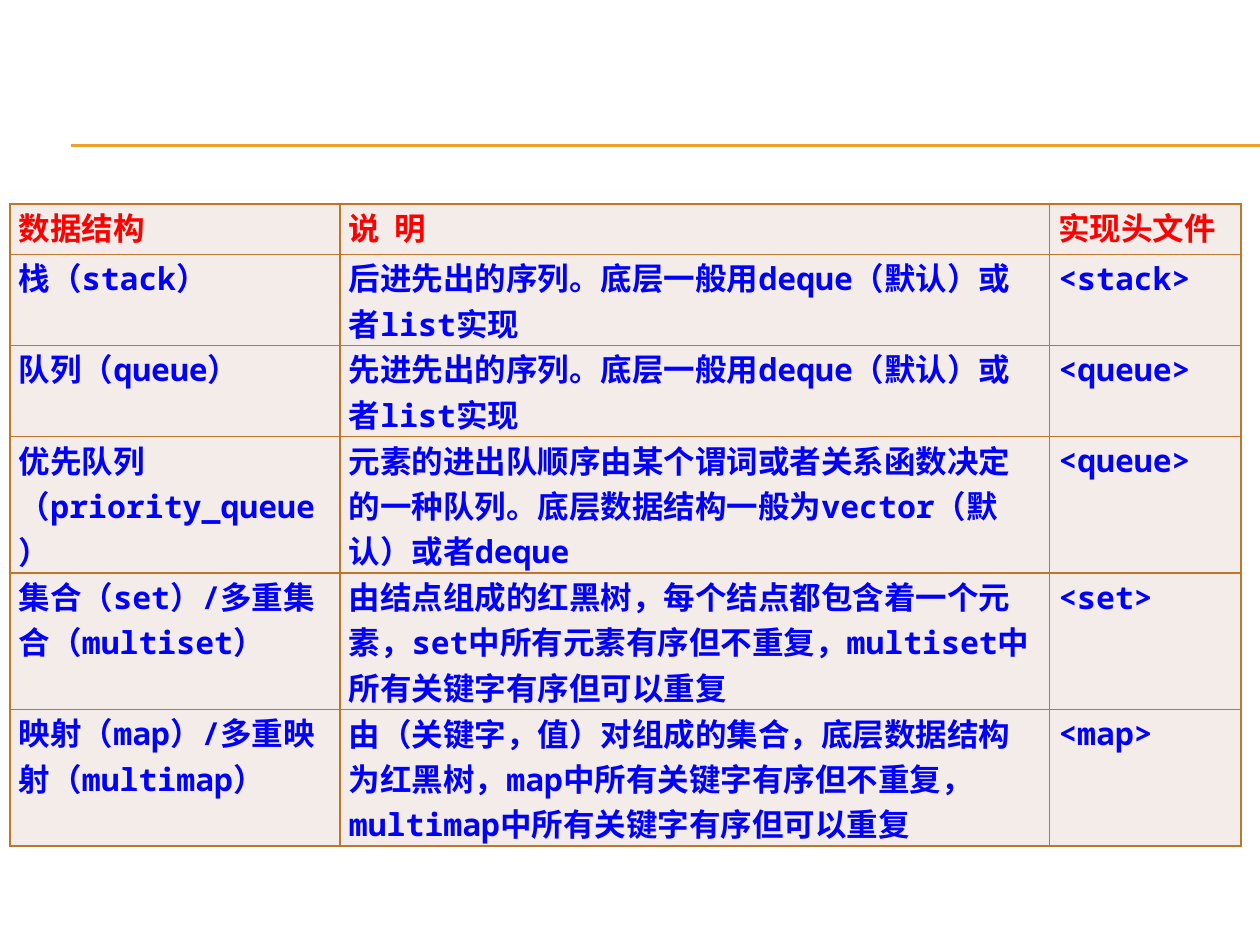
from lxml.etree import SubElement
from pptx import Presentation
from pptx.dml.color import RGBColor
from pptx.enum.shapes import MSO_CONNECTOR as Connector
from pptx.enum.text import PP_ALIGN as Align
from pptx.oxml.ns import qn
from pptx.util import Inches, Pt

COLORS = {
    "rule": "F0A22E",
    "border": "C17529",
    "cell": "F4ECE8",
    "header": "FF0000",
    "body": "0000FF",
}
LINE_SPACING = 26
COLUMN_WIDTHS = [2.62, 5.63, 1.52]
HEADER = ["数据结构", "说  明", "实现头文件"]
HEADER_HEIGHT = 0.4

# Each entry: lines of text in the row, then its three cells
STRUCTURES = [
    (2, "栈（stack）", "后进先出的序列。底层一般用deque（默认）或者list实现", "<stack>"),
    (2, "队列（queue）", "先进先出的序列。底层一般用deque（默认）或者list实现", "<queue>"),
    (3, "优先队列（priority_queue）",
     "元素的进出队顺序由某个谓词或者关系函数决定的一种队列。底层数据结构一般为vector（默认）或者deque",
     "<queue>"),
    (3, "集合（set）/多重集合（multiset）",
     "由结点组成的红黑树，每个结点都包含着一个元素，set中所有元素有序但不重复，multiset中所有关键字有序但可以重复",
     "<set>"),
    (3, "映射（map）/多重映射（multimap）",
     "由（关键字，值）对组成的集合，底层数据结构为红黑树，map中所有关键字有序但不重复，multimap中所有关键字有序但可以重复",
     "<map>"),
]


def rgb(name):
    return RGBColor.from_string(COLORS[name])


def add_rule(slide, top, left, right):
    rule = slide.shapes.add_connector(
        Connector.STRAIGHT, Inches(left), Inches(top), Inches(right), Inches(top))
    rule.line.color.rgb = rgb("rule")
    rule.line.width = Pt(0.75)
    SubElement(rule._element.spPr, qn("a:effectLst"))


def write_text(frame, text, *, font, color, align, size=18, bold=True):
    paragraph = frame.paragraphs[0]
    paragraph.alignment = align
    paragraph.line_spacing = Pt(LINE_SPACING)
    run = paragraph.add_run()
    run.text = text
    run.font.name = font
    run.font.size = Pt(size)
    run.font.bold = bold
    run.font.color.rgb = rgb(color)


def style_cell(cell):
    cell.margin_left = cell.margin_right = Inches(0.07)
    cell.margin_top = cell.margin_bottom = 0
    properties = cell._tc.get_or_add_tcPr()
    # Borders come before the fill in the cell properties
    for side in ("a:lnL", "a:lnR", "a:lnT", "a:lnB"):
        border = SubElement(properties, qn(side), w=str(Pt(1)))
        fill = SubElement(border, qn("a:solidFill"))
        SubElement(fill, qn("a:srgbClr"), val=COLORS["border"])
    cell.fill.solid()
    cell.fill.fore_color.rgb = rgb("cell")


def add_structure_table(slide, left, top):
    heights = [Inches(HEADER_HEIGHT)]
    heights += [Pt(LINE_SPACING * lines) for lines, *_ in STRUCTURES]
    rows = [HEADER] + [cells for _, *cells in STRUCTURES]
    table = slide.shapes.add_table(
        len(rows), len(HEADER), Inches(left), Inches(top),
        Inches(sum(COLUMN_WIDTHS)), sum(heights)).table
    for column, width in zip(table.columns, COLUMN_WIDTHS):
        column.width = Inches(width)
    for row, height in zip(table.rows, heights):
        row.height = height

    for r, texts in enumerate(rows):
        is_header = r == 0
        for c, text in enumerate(texts):
            cell = table.cell(r, c)
            style_cell(cell)
            justified = is_header or c == len(HEADER) - 1
            write_text(
                cell.text_frame, text,
                font="Times New Roman" if is_header else "Noto Sans Mono",
                color="header" if is_header else "body",
                align=Align.JUSTIFY if justified else Align.LEFT)


def main():
    deck = Presentation()
    deck.slide_width, deck.slide_height = Inches(10), Inches(7.5)
    slide = deck.slides.add_slide(deck.slide_layouts[6])

    # Double rule across the top
    for top in (1.15, 1.16):
        add_rule(slide, top, left=0.56, right=10)

    # Container overview
    add_structure_table(slide, left=0.08, top=1.62)
    deck.save("out.pptx")


if __name__ == "__main__":
    main()
